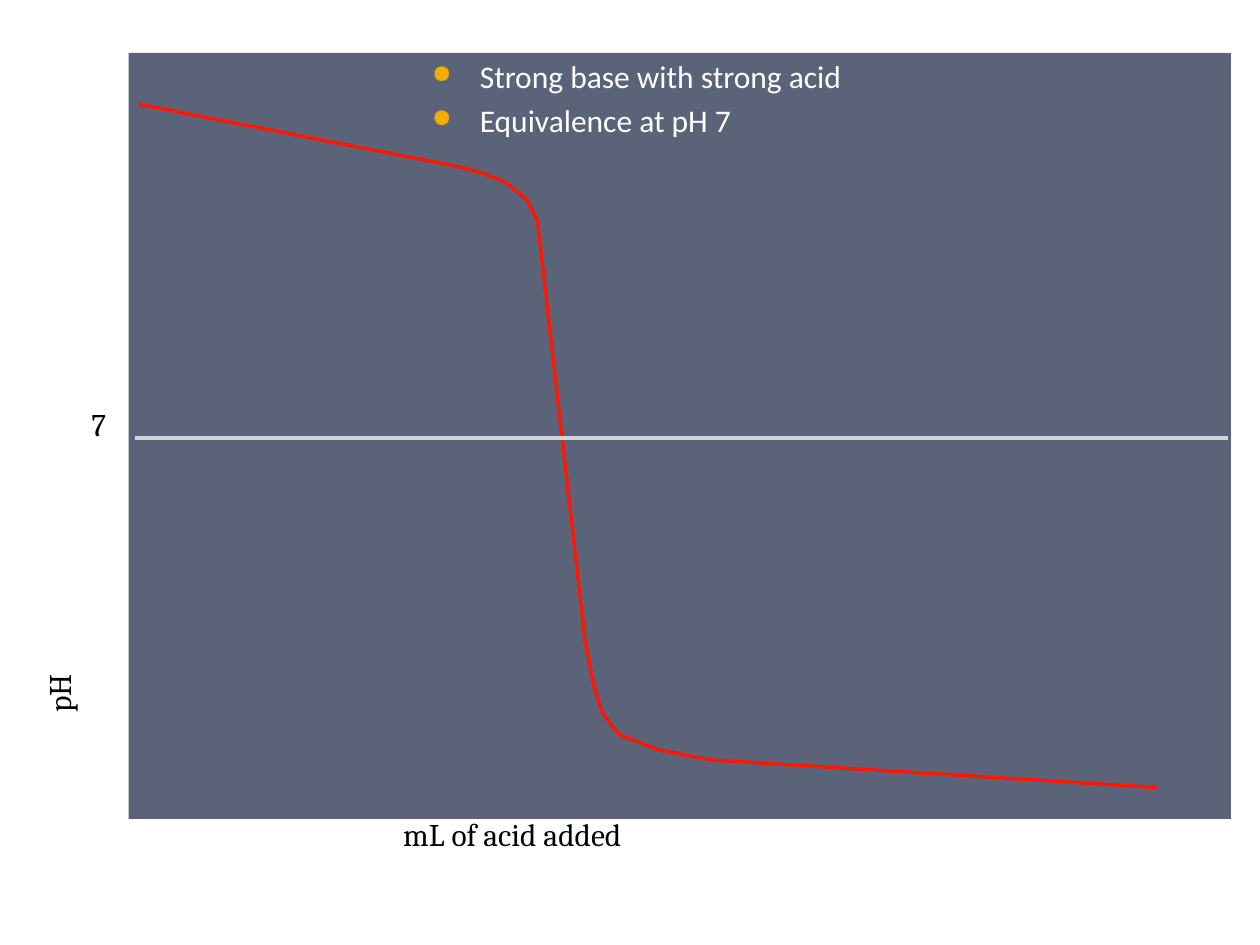
import pptx
import pptx.util
import pptx.dml.color
import pptx.enum.shapes
import pptx.oxml.ns
import lxml.etree

COLORS = {"plot": "5A6378", "curve": "FD1705", "mid": "D4D4D6",
          "ink": "000000", "note": "FFFFFF", "dot": "F0AD00"}

# Percent of the plot box, from the last drop of acid back to the first
CURVE = [(93.3, 95.9), (52.9, 92.3), (48.1, 91), (44.5, 89), (43, 86.2),
         (42.2, 82.6), (41.4, 76.5), (37.1, 21.9), (36.1, 19.1),
         (34.2, 16.9), (32.3, 15.8), (30.4, 15), (0.9, 6.7)]


def color(name):
    return pptx.dml.color.RGBColor.from_string(COLORS[name])


def spot(box, x, y):
    """Turn percents of a box into a point on the slide."""
    left, top, width, height = box
    return int(left + width * x / 100), int(top + height * y / 100)


def area(box, x, y, w, h):
    """Turn percents of a box into left, top, width and height."""
    return *spot(box, x, y), int(box[2] * w / 100), int(box[3] * h / 100)


def stroke(shape, name):
    shape.line.color.rgb = color(name)
    shape.line.width = pptx.util.Pt(2)


def add_text(slide, place, lines, font, ink):
    shape = slide.shapes.add_textbox(*place)
    frame = shape.text_frame
    frame.word_wrap = True
    frame.text = "\n".join(lines)
    for par in frame.paragraphs:
        for run in par.runs:
            run.font.name = font
            run.font.size = pptx.util.Pt(18)
            run.font.color.rgb = color(ink)
    return shape


def add_bullet(par):
    props = par._p.get_or_add_pPr()
    indent = pptx.util.Inches(0.38)
    props.set("marL", str(indent))
    props.set("indent", str(-indent))
    qn = pptx.oxml.ns.qn
    tint = lxml.etree.SubElement(props, qn("a:buClr"))
    lxml.etree.SubElement(tint, qn("a:srgbClr"), val=COLORS["dot"])
    lxml.etree.SubElement(props, qn("a:buSzPct"), val="80000")
    lxml.etree.SubElement(props, qn("a:buChar"), char="●")


def draw_plot(slide, box):
    shapes = slide.shapes
    back = shapes.add_shape(pptx.enum.shapes.MSO_SHAPE.RECTANGLE, *box)
    back.shadow.inherit = False
    back.fill.solid()
    back.fill.fore_color.rgb = color("plot")
    back.line.fill.background()

    points = [spot(box, x, y) for x, y in CURVE]
    path = shapes.build_freeform(*points[0])
    path.add_line_segments(points[1:], close=False)
    curve = path.convert_to_shape()
    curve.shadow.inherit = False
    curve.fill.background()
    stroke(curve, "curve")

    mid = shapes.add_connector(pptx.enum.shapes.MSO_CONNECTOR.STRAIGHT,
                               *spot(box, 0.6, 50.3), *spot(box, 99.7, 50.3))
    stroke(mid, "mid")
    lxml.etree.SubElement(mid._element.spPr, pptx.oxml.ns.qn("a:effectLst"))


def draw_labels(slide, box):
    labels = [("pH", (-11.7, 72.9, 13.4, 10.4), 270),
              ("mL of acid added", (23.8, 98.7, 66.6, 10.4), 0),
              ("7", (-4.5, 45.1, 2.7, 10.4), 0)]
    for text, share, turn in labels:
        label = add_text(slide, area(box, *share), [text], "Cambria", "ink")
        label.rotation = turn


def draw_notes(slide, box):
    lines = ["Strong base with strong acid", "Equivalence at pH 7"]
    notes = add_text(slide, area(box, 26.4, -0.3, 76, 23.7), lines,
                     "Calibri", "note")
    for i, par in enumerate(notes.text_frame.paragraphs):
        add_bullet(par)
        par.space_before = pptx.util.Pt(3.6 if i else 0)


def main():
    deck = pptx.Presentation()
    deck.slide_width = pptx.util.Inches(10)
    deck.slide_height = pptx.util.Inches(7.5)
    slide = deck.slides.add_slide(deck.slide_layouts[6])
    plot = [pptx.util.Inches(n) for n in (1.02, 0.42, 8.75, 6.08)]
    draw_plot(slide, plot)
    draw_labels(slide, plot)
    draw_notes(slide, plot)
    deck.save("out.pptx")


if __name__ == "__main__":
    main()
